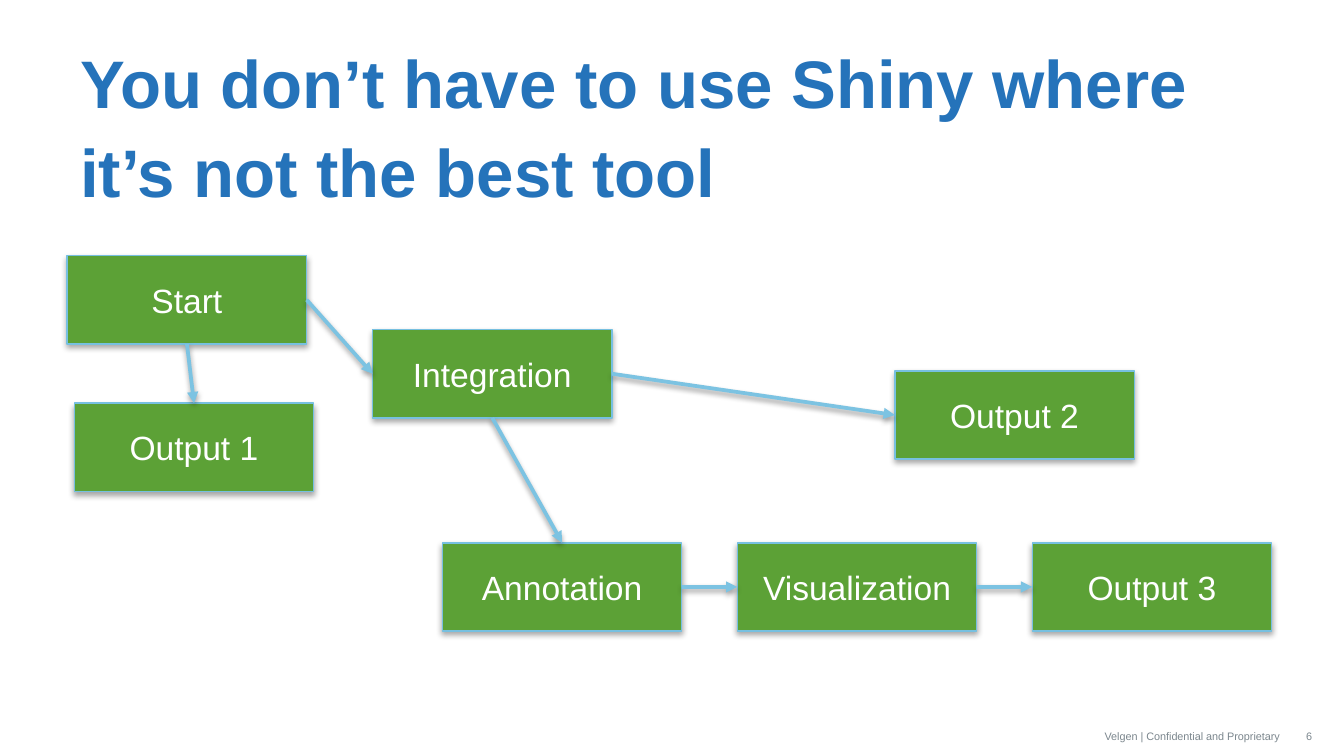
import pptx
import pptx.util
import pptx.dml.color
import pptx.enum.shapes
import pptx.enum.text
import pptx.oxml
import pptx.oxml.ns

Pt = pptx.util.Pt
ALIGN = pptx.enum.text.PP_ALIGN
ANCHOR = pptx.enum.text.MSO_ANCHOR
TOP, LEFT, BOTTOM, RIGHT = range(4)
NS = pptx.oxml.ns.nsdecls("a")


def rgb(value):
    return pptx.dml.color.RGBColor.from_string(value)


class Deck:
    font = "Arial"
    title_color, footer_color = "2573BA", "7C878E"
    box_fill, box_line, arrow_color = "5CA136", "77C0E0", "7CC3E2"
    box_width, box_height = 128.3, 47.3

    def __init__(self, width, height):
        self.prs = pptx.Presentation()
        self.prs.slide_width, self.prs.slide_height = Pt(width), Pt(height)
        self.s = self.prs.slides.add_slide(self.prs.slide_layouts[6])

    def fill_text(self, sp, text, size, color, align, anchor):
        tf = sp.text_frame
        tf.word_wrap = True
        tf.vertical_anchor = anchor
        p = tf.paragraphs[0]
        p.alignment = align
        r = p.add_run()
        r.text = text
        p.font.name, p.font.size = self.font, Pt(size)
        p.font.color.rgb = rgb(color)
        return p

    def shadow(self, sp, alpha, distance):
        sp._element.spPr.append(pptx.oxml.parse_xml(
            f'<a:effectLst {NS}><a:outerShdw blurRad="{Pt(3.1)}" '
            f'dist="{Pt(distance)}" dir="5400000" rotWithShape="0">'
            f'<a:srgbClr val="000000"><a:alpha val="{alpha * 1000}"/></a:srgbClr>'
            '</a:outerShdw></a:effectLst>'))

    def text(self, text, x, y, w, h, size, color, align=ALIGN.LEFT, anchor=ANCHOR.TOP):
        sp = self.s.shapes.add_textbox(Pt(x), Pt(y), Pt(w), Pt(h))
        return self.fill_text(sp, text, size, color, align, anchor)

    def title(self, text, x, y, w, h):
        p = self.text(text, x, y, w, h, 36, self.title_color)
        p.font.bold = True
        p.line_spacing = 1.1
        p.space_before = p.space_after = Pt(3)

    def footer(self, text, x, w, align):
        p = self.text(text, x, 383.8, w, 21.6, 10, self.footer_color, align, ANCHOR.BOTTOM)
        p.runs[0].font._element.set("baseline", "30000")

    def box(self, text, x, y):
        sp = self.s.shapes.add_shape(
            pptx.enum.shapes.MSO_SHAPE.RECTANGLE,
            Pt(x), Pt(y), Pt(self.box_width), Pt(self.box_height))
        sp.fill.solid()
        sp.fill.fore_color.rgb = rgb(self.box_fill)
        sp.line.color.rgb = rgb(self.box_line)
        sp.line.width = Pt(0.75)
        self.shadow(sp, 35, 1.8)
        self.fill_text(sp, text, 18, "FFFFFF", ALIGN.CENTER, ANCHOR.MIDDLE)
        return sp

    def arrow(self, source, source_side, target, target_side):
        c = self.s.shapes.add_connector(
            pptx.enum.shapes.MSO_CONNECTOR.STRAIGHT, 0, 0, 0, 0)
        c.begin_connect(source, source_side)
        c.end_connect(target, target_side)
        c.line.color.rgb = rgb(self.arrow_color)
        c.line.width = Pt(2)
        ln = c._element.spPr.find(pptx.oxml.ns.qn("a:ln"))
        ln.append(pptx.oxml.parse_xml(f'<a:tailEnd {NS} type="triangle"/>'))
        self.shadow(c, 38, 1.6)


deck = Deck(720, 405)
deck.footer("6", 692.6, 27.4, ALIGN.LEFT)
deck.footer("Velgen | Confidential and Proprietary", 464.4, 228.2, ALIGN.RIGHT)
deck.title("You don’t have to use Shiny where it’s not the best tool", 36, 14.4, 648, 67.7)

start = deck.box("Start", 36, 137)
output_1 = deck.box("Output 1", 39.8, 216)
integration = deck.box("Integration", 199.6, 176.6)
output_2 = deck.box("Output 2", 479.4, 198.7)
annotation, visualization, output_3 = [
    deck.box(name, 237 + 158 * i, 290.8)
    for i, name in enumerate(["Annotation", "Visualization", "Output 3"])]

for link in [
    (start, BOTTOM, output_1, TOP),
    (start, RIGHT, integration, LEFT),
    (integration, BOTTOM, annotation, TOP),
    (annotation, RIGHT, visualization, LEFT),
    (visualization, RIGHT, output_3, LEFT),
    (integration, RIGHT, output_2, LEFT),
]:
    deck.arrow(*link)

deck.prs.save("out.pptx")
